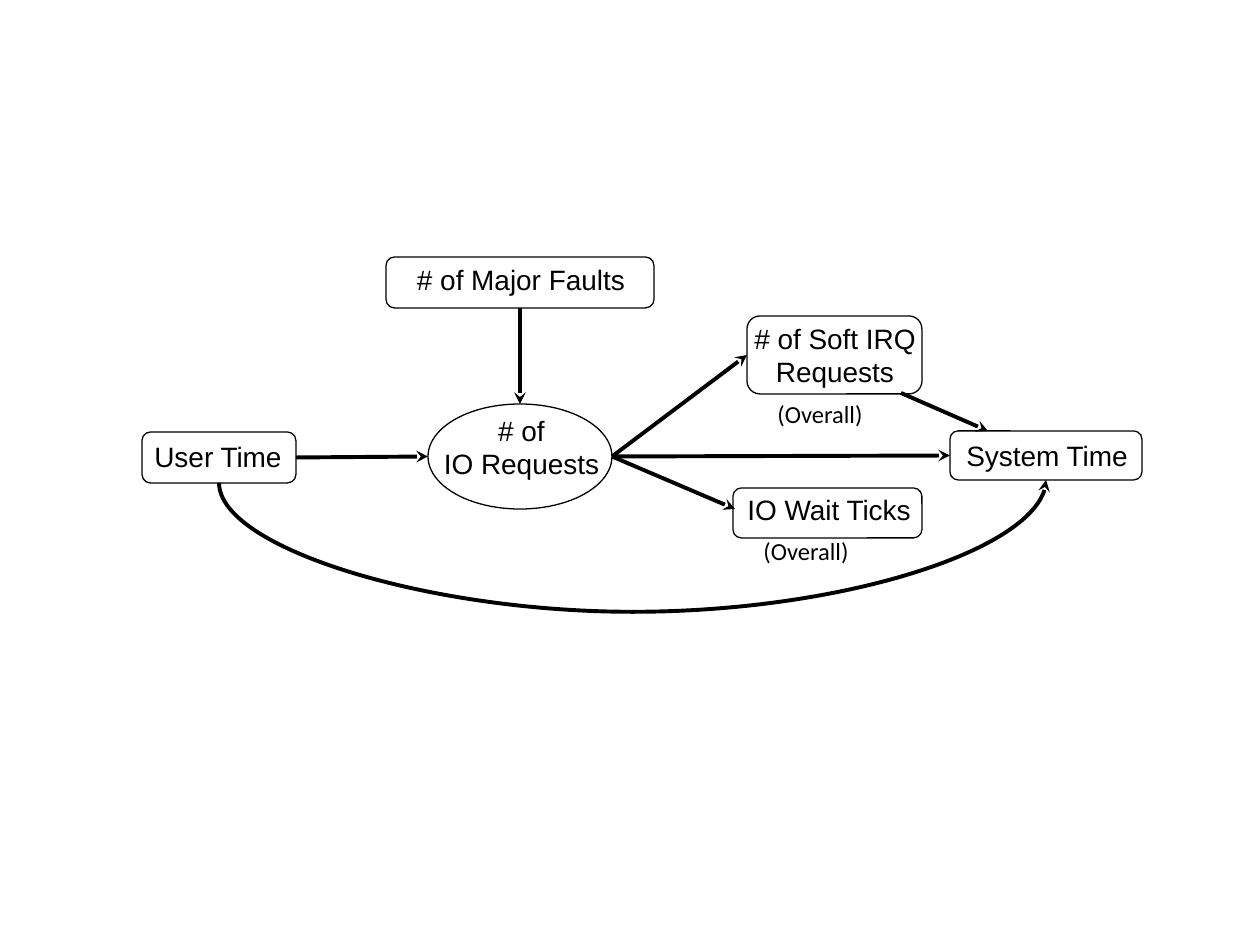
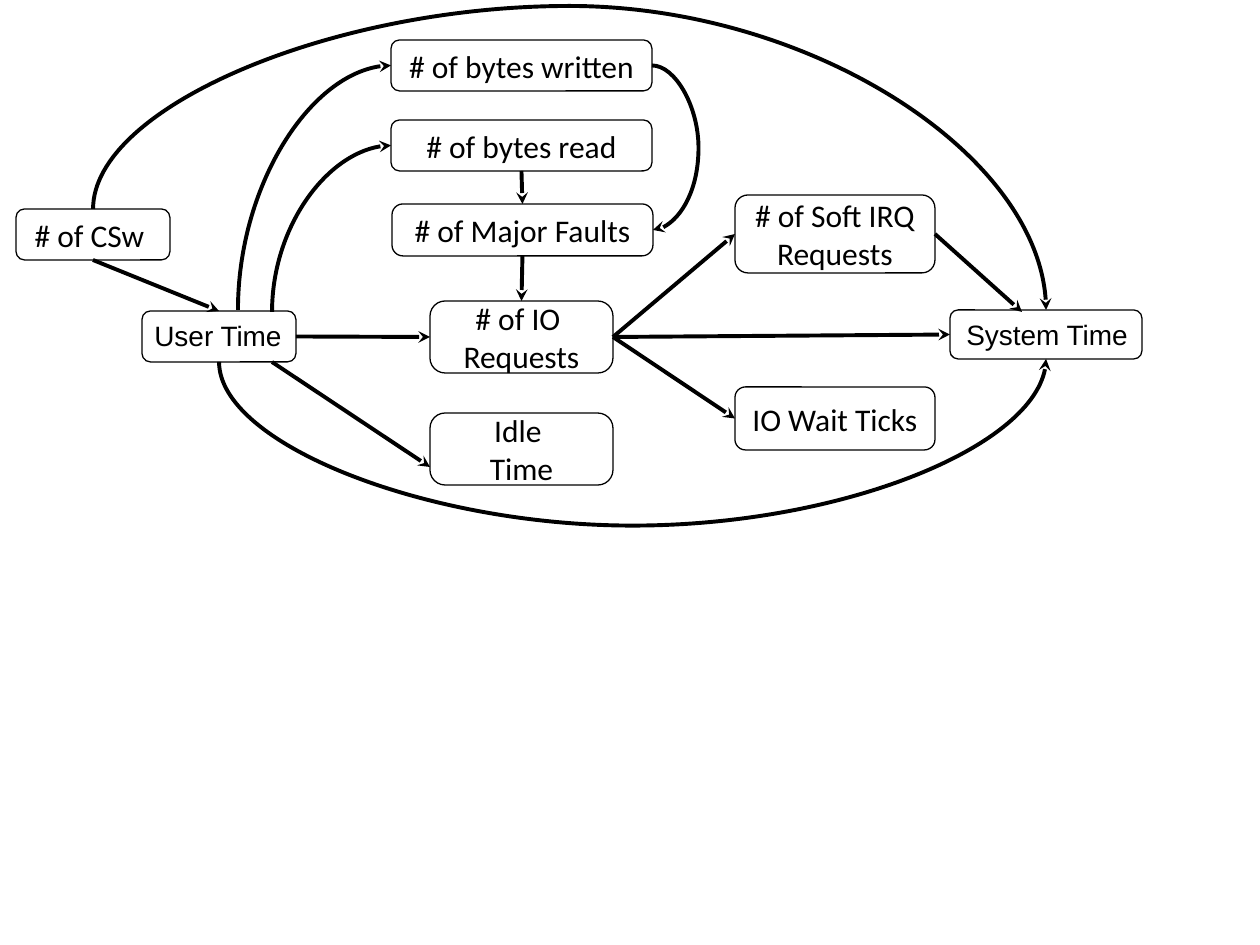
from dataclasses import dataclass

from lxml import etree
from pptx import Presentation
from pptx import util as u
from pptx.dml.color import RGBColor
from pptx.enum import shapes, text
from pptx.oxml import ns

PX = 914400 / 126  # one pixel in EMU
TOP, LEFT, BOTTOM, RIGHT = range(4)  # connection sites of a box


@dataclass(frozen=True)
class Theme:
    ink: RGBColor = RGBColor(0, 0, 0)
    outline: float = 0.75
    arrow: float = 2.25
    body: tuple = ("Arial", 16)
    node: tuple = ("Calibri", 18)
    note: tuple = ("Calibri", 14)


T = Theme()


def emu(*lengths):
    return [u.Emu(round(n * PX)) for n in lengths]


def apply(target, formats):
    for name, value in formats.items():
        setattr(target, name, value)


def write(sp, lines, font, align, **frame):
    """Fill a shape's text frame, one paragraph a line."""
    tf = sp.text_frame
    apply(tf, frame)
    for i, line in enumerate(lines):
        p = tf.paragraphs[0] if i == 0 else tf.add_paragraph()
        p.alignment = align
        r = p.add_run()
        r.text = line
        apply(r.font, {"name": font[0], "size": u.Pt(font[1])})
        r.font.color.rgb = T.ink


class Diagram:
    """Parts of a causal graph, measured from the origin of its region."""

    def __init__(self, s, left, top):
        self.s, self.left, self.top = s, left, top
        self.boxes = {}

    def place(self, box):
        x, y, w, h = box
        return emu(self.left + x, self.top + y, w, h)

    def node(self, name, box, lines=(), kind="ROUNDED_RECTANGLE", corner=None):
        sp = self.s.shapes.add_shape(
            getattr(shapes.MSO_SHAPE, kind), *self.place(box))
        sp.shadow.inherit = False
        sp.fill.background()
        sp.line.color.rgb = T.ink
        sp.line.width = u.Pt(T.outline)
        if corner:
            sp.adjustments[0] = corner
        if lines:
            write(sp, lines, T.node, text.PP_ALIGN.CENTER, word_wrap=True,
                  vertical_anchor=text.MSO_ANCHOR.MIDDLE)
        self.boxes[name] = (sp, box)

    def label(self, box, lines, font=T.body, wrap=False, center=False):
        sp = self.s.shapes.add_textbox(*self.place(box))
        align = text.PP_ALIGN.CENTER if center else text.PP_ALIGN.LEFT
        write(sp, lines, font, align, word_wrap=wrap,
              auto_size=text.MSO_AUTO_SIZE.SHAPE_TO_FIT_TEXT)

    def point(self, end):
        """An end is (node name, site) or a plain (x, y)."""
        if end[0] not in self.boxes:
            return end
        x, y, w, h = self.boxes[end[0]][1]
        return [(x + w / 2, y), (x, y + h / 2),
                (x + w / 2, y + h), (x + w, y + h / 2)][end[1]]

    def arrow(self, start, end, kind="STRAIGHT"):
        (x1, y1), (x2, y2) = self.point(start), self.point(end)
        cx = self.s.shapes.add_connector(
            getattr(shapes.MSO_CONNECTOR, kind),
            *emu(self.left + x1, self.top + y1, self.left + x2, self.top + y2))
        cx.line.color.rgb = T.ink
        cx.line.width = u.Pt(T.arrow)
        sppr = cx._element.spPr
        etree.SubElement(sppr.find(ns.qn("a:ln")), ns.qn("a:tailEnd"), type="stealth")
        etree.SubElement(sppr, ns.qn("a:effectLst"))
        return cx

    def curve(self, start, end, via=None):
        """A curve that turns at via, or a single bend without it."""
        cx = self.arrow(start, end, "CURVE")
        if start[0] in self.boxes:
            cx.begin_connect(self.boxes[start[0]][0], start[1])
        if end[0] in self.boxes:
            cx.end_connect(self.boxes[end[0]][0], end[1])
        (x1, y1), (x2, y2) = self.point(start), self.point(end)
        dx, dy = x2 - x1, y2 - y1
        sideways = start[0] in self.boxes and start[1] == RIGHT

        # An upright curve is a sideways one turned about its centre
        if sideways:
            w, h, frame = abs(dx), abs(dy), {}
        else:
            w, h = abs(dy), abs(dx)
            frame = ({"rot": "5400000", "flipH": "1", "flipV": "1"} if dy < 0
                     else {"rot": "16200000", "flipH": "1"})
        mid_x, mid_y = (x1 + x2) / 2, (y1 + y2) / 2
        box = self.place((mid_x - w / 2, mid_y - h / 2, w, h))
        apply(cx, dict(zip(("left", "top", "width", "height"), box)))
        xfrm = cx._element.spPr.find(ns.qn("a:xfrm"))
        for name in ("rot", "flipH", "flipV"):
            xfrm.attrib.pop(name, None)
        for name, value in frame.items():
            xfrm.set(name, value)

        geom = cx._element.spPr.find(ns.qn("a:prstGeom"))
        if via is None:
            geom.set("prst", "curvedConnector2")
        else:
            ratio = (via - x1) / dx if sideways else (via - y1) / dy
            guides = geom.find(ns.qn("a:avLst"))
            etree.SubElement(guides, ns.qn("a:gd"), name="adj1",
                             fmla=f"val {round(ratio * 100000)}")


def time_ends(d, depth):
    """User Time and System Time, joined by a curve below them."""
    d.label((0, 1, 154, 47), ["User Time"])
    d.label((812, 0, 238, 47), ["System Time"], wrap=True)
    d.node("user", (0, 0, 154, 51))
    d.node("system", (808, -1, 192, 49))
    d.curve(("user", BOTTOM), ("system", BOTTOM), depth)


def request_arrows(d, wait_end):
    """Arrows into and out of the IO requests, alike on both slides."""
    d.arrow(("user", RIGHT), ("io", LEFT))
    d.arrow(("faults", BOTTOM), ("io", TOP))
    for end in (("system", LEFT), ("irq", LEFT), wait_end):
        d.arrow(("io", RIGHT), end)


def overall_graph(s, left, top):
    d = Diagram(s, left, top)
    time_ends(d, 181)

    # Outlines
    d.node("faults", (244, -175, 268, 51))
    d.node("irq", (605, -116, 175, 78))
    d.node("wait", (591, 56, 189, 50))
    d.node("io", (286, -28, 184, 105), kind="OVAL")

    # Labels
    d.label((261, -176, 236, 47), ["# of Major Faults"], center=True)
    d.label((596, -117, 194, 81), ["# of Soft IRQ", "Requests"], wrap=True, center=True)
    d.label((593, 54, 192, 47), ["IO Wait Ticks"])
    d.label((288, -25, 183, 81), ["# of", "IO Requests"], center=True)
    for x, y in ((623, -39), (609, 98)):
        d.label((x, y, 136, 43), ["(Overall)"], T.note, wrap=True)

    # Arrows
    request_arrows(d, (593, 77))
    d.arrow((759, -39), (846, -1))


def detailed_graph(s, left, top):
    d = Diagram(s, left, top)
    time_ends(d, 216)

    # Nodes
    d.node("irq", (593, -116, 200, 78), ["# of Soft IRQ Requests"])
    d.node("wait", (593, 76, 200, 63), ["IO Wait Ticks"])
    d.node("csw", (-126, -102, 154, 51), ["# of CSw "])
    d.node("idle", (288, 102, 183, 72), ["Idle ", "Time"], corner=0.21)
    d.node("io", (288, -10, 183, 72), ["# of IO ", "Requests"], corner=0.21)
    d.node("faults", (250, -107, 261, 52), ["# of Major Faults"], corner=0.21)
    d.node("written", (249, -271, 261, 51), ["# of bytes written"])
    d.node("read", (249, -191, 261, 51), ["# of bytes read"])

    # Straight arrows
    request_arrows(d, ("wait", LEFT))
    d.arrow(("irq", RIGHT), (880, 1))
    d.arrow(("csw", BOTTOM), ("user", TOP))
    d.arrow((130, 51), (288, 156))
    d.arrow(("read", BOTTOM), ("faults", TOP))

    # Curved arrows
    d.curve(("csw", TOP), ("system", TOP), -305)
    d.curve((96, -1), ("written", LEFT))
    d.curve((130, 1), ("read", LEFT))
    d.curve(("written", RIGHT), ("faults", RIGHT), 557)


prs = Presentation()
apply(prs, {"slide_width": u.Inches(10), "slide_height": u.Inches(7.5)})
for graph, top in ((overall_graph, 432), (detailed_graph, 311)):
    graph(prs.slides.add_slide(prs.slide_layouts[6]), 142, top)
prs.save("out.pptx")
